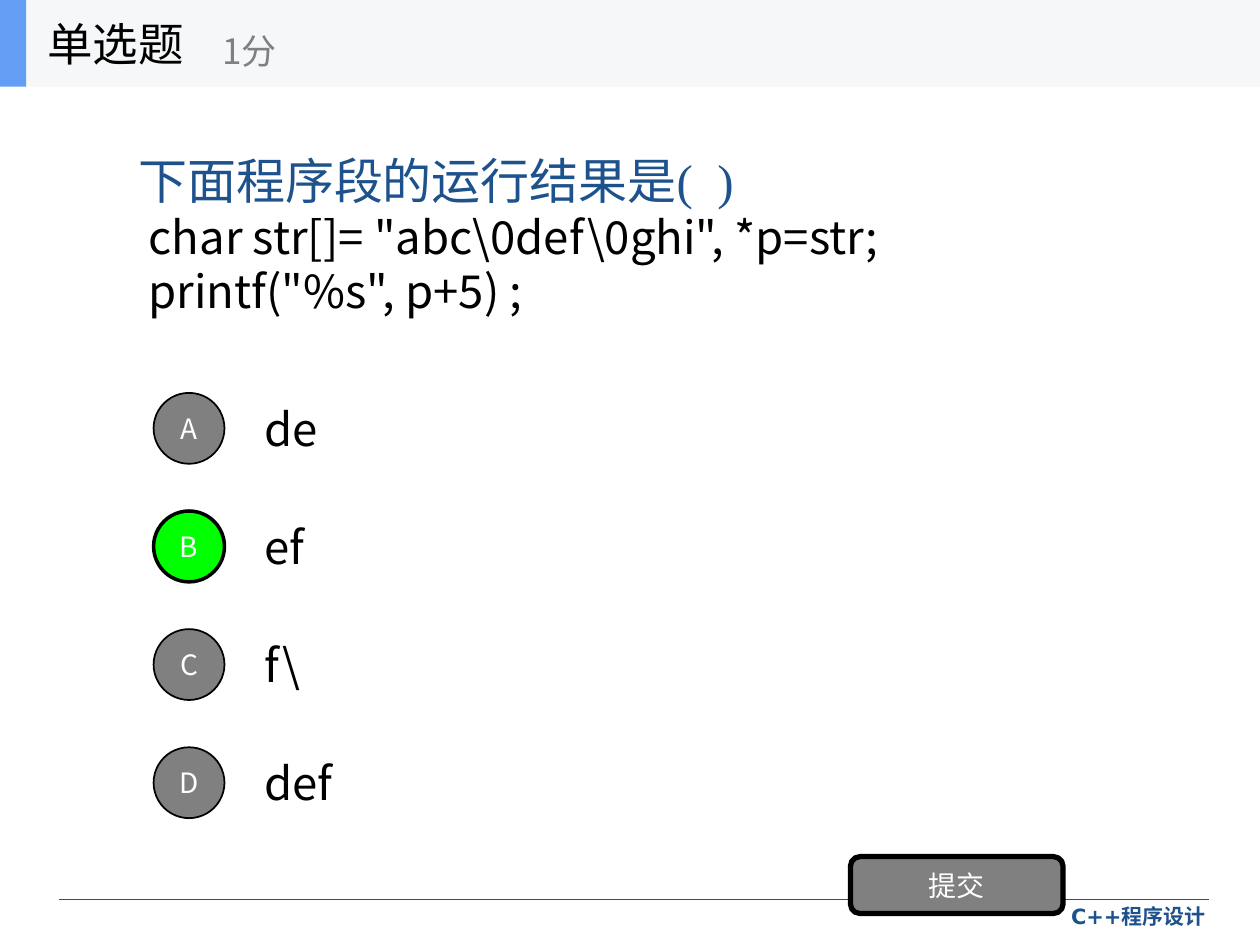
from lxml import etree
from pptx import Presentation
from pptx.dml.color import RGBColor
from pptx.enum.shapes import MSO_CONNECTOR, MSO_SHAPE
from pptx.enum.text import MSO_ANCHOR, PP_ALIGN
from pptx.oxml.ns import qn
from pptx.util import Pt

RECTANGLE, ROUNDED = MSO_SHAPE.RECTANGLE, MSO_SHAPE.ROUNDED_RECTANGLE
OVAL, STRAIGHT = MSO_SHAPE.OVAL, MSO_CONNECTOR.STRAIGHT
TOP, MIDDLE = MSO_ANCHOR.TOP, MSO_ANCHOR.MIDDLE
LEFT, CENTER, RIGHT = PP_ALIGN.LEFT, PP_ALIGN.CENTER, PP_ALIGN.RIGHT

NAVY = RGBColor(0x1D, 0x52, 0x8D)
BLUE = RGBColor(0x63, 0x9E, 0xF4)
PALE = RGBColor(0xF6, 0xF7, 0xF8)
GRAY = RGBColor(0x80, 0x80, 0x80)
GREEN = RGBColor(0x00, 0xFF, 0x00)
BLACK = RGBColor(0x00, 0x00, 0x00)
WHITE = RGBColor(0xFF, 0xFF, 0xFF)

CHINESE_FONT = "Noto Sans CJK SC"

ANSWERS = ["de", "ef", "f\\", "def"]
CORRECT = "B"
ANSWER_TOP, ANSWER_STEP = 219.5, 67.5
ANSWER_HEIGHT, MARKER_SIZE = 50.5, 40.5


def write(para, text, size=26, font=CHINESE_FONT, color=BLACK, bold=False, align=LEFT):
    """Add one formatted run to a paragraph."""
    para.alignment = align
    span = para.add_run()
    span.text = text
    span.font.size = Pt(size)
    span.font.name = font
    span.font.bold = bold
    span.font.color.rgb = color
    east_asian = etree.SubElement(span.font._element, qn("a:ea"))
    east_asian.set("typeface", CHINESE_FONT)


def add_text(shapes, left, top, width, height, anchor=MIDDLE):
    """Add an empty wrapping text box and return its frame."""
    box = shapes.add_textbox(Pt(left), Pt(top), Pt(width), Pt(height))
    box.text_frame.word_wrap = True
    box.text_frame.vertical_anchor = anchor
    return box.text_frame


def add_block(shapes, kind, left, top, width, height, fill, border=0):
    """Add a filled shape, with a black border if one is asked for."""
    block = shapes.add_shape(kind, Pt(left), Pt(top), Pt(width), Pt(height))
    block.shadow.inherit = False
    block.fill.solid()
    block.fill.fore_color.rgb = fill
    if border:
        block.line.color.rgb = BLACK
        block.line.width = Pt(border)
    else:
        block.line.fill.background()
    return block


def add_button(shapes, kind, text, *place, fill=GRAY, border=1):
    """Add a bordered shape with a centred white label."""
    button = add_block(shapes, kind, *place, fill, border)
    button.text_frame.vertical_anchor = MIDDLE
    write(button.text_frame.paragraphs[0], text, size=16, color=WHITE, align=CENTER)


def add_footer(shapes):
    rule = shapes.add_connector(STRAIGHT, Pt(34), Pt(514), Pt(691), Pt(514))
    rule.line.color.rgb = NAVY
    rule.line.width = Pt(0.75)
    etree.SubElement(rule._element.spPr, qn("a:effectLst"))
    frame = add_text(shapes, 468, 512.5, 228, 24, anchor=TOP)
    write(frame.paragraphs[0], "C++程序设计", size=12, font="DejaVu Sans",
          color=NAVY, bold=True, align=RIGHT)


def add_question(shapes):
    frame = add_text(shapes, 72, 49.5, 576, 168.5)
    write(frame.paragraphs[0], "下面程序段的运行结果是(  )", size=28,
          font="Times New Roman", color=NAVY)
    for code in (' char str[]= "abc\\0def\\0ghi", *p=str;', ' printf("%s", p+5) ;'):
        write(frame.add_paragraph(), code)


def add_answers(shapes):
    for index, (letter, answer) in enumerate(zip("ABCD", ANSWERS)):
        top = ANSWER_TOP + index * ANSWER_STEP
        frame = add_text(shapes, 144, top, 504, ANSWER_HEIGHT)
        write(frame.paragraphs[0], answer)
        marker_top = top + (ANSWER_HEIGHT - MARKER_SIZE) / 2
        correct = letter == CORRECT
        add_button(shapes, OVAL, letter, 87.75, marker_top, MARKER_SIZE, MARKER_SIZE,
                   fill=GREEN if correct else GRAY, border=2 if correct else 1)


def add_header(shapes):
    add_block(shapes, RECTANGLE, 0, 0, 720, 49.5, PALE)
    add_block(shapes, RECTANGLE, 0, 0, 15, 49.5, BLUE)
    title = add_text(shapes, 20, 0, 150, 49.5)
    write(title.paragraphs[0], "单选题")
    score = add_text(shapes, 120, 8.5, 180, 40.5)
    write(score.paragraphs[0], "1分", size=20, color=GRAY)


def main():
    deck = Presentation()
    deck.slide_width, deck.slide_height = Pt(720), Pt(540)
    page = deck.slides.add_slide(deck.slide_layouts[6])

    # Footer rule and course name
    add_footer(page.shapes)

    # Question with its four answers
    add_question(page.shapes)
    add_answers(page.shapes)

    # Submit button
    add_button(page.shapes, ROUNDED, "提交", 486, 489.5, 121.5, 32.5, border=3)

    # Header bar, grouped
    add_header(page.shapes.add_group_shape().shapes)

    deck.save("out.pptx")


if __name__ == "__main__":
    main()
